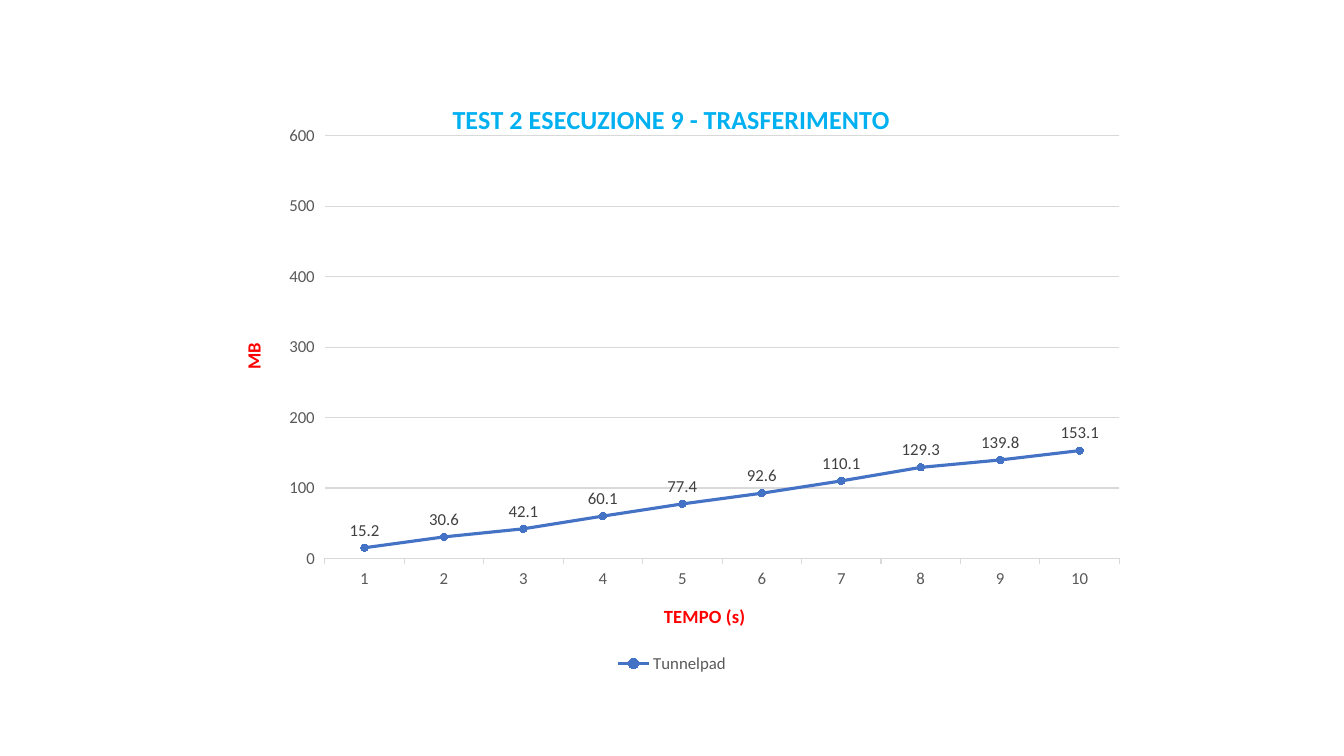
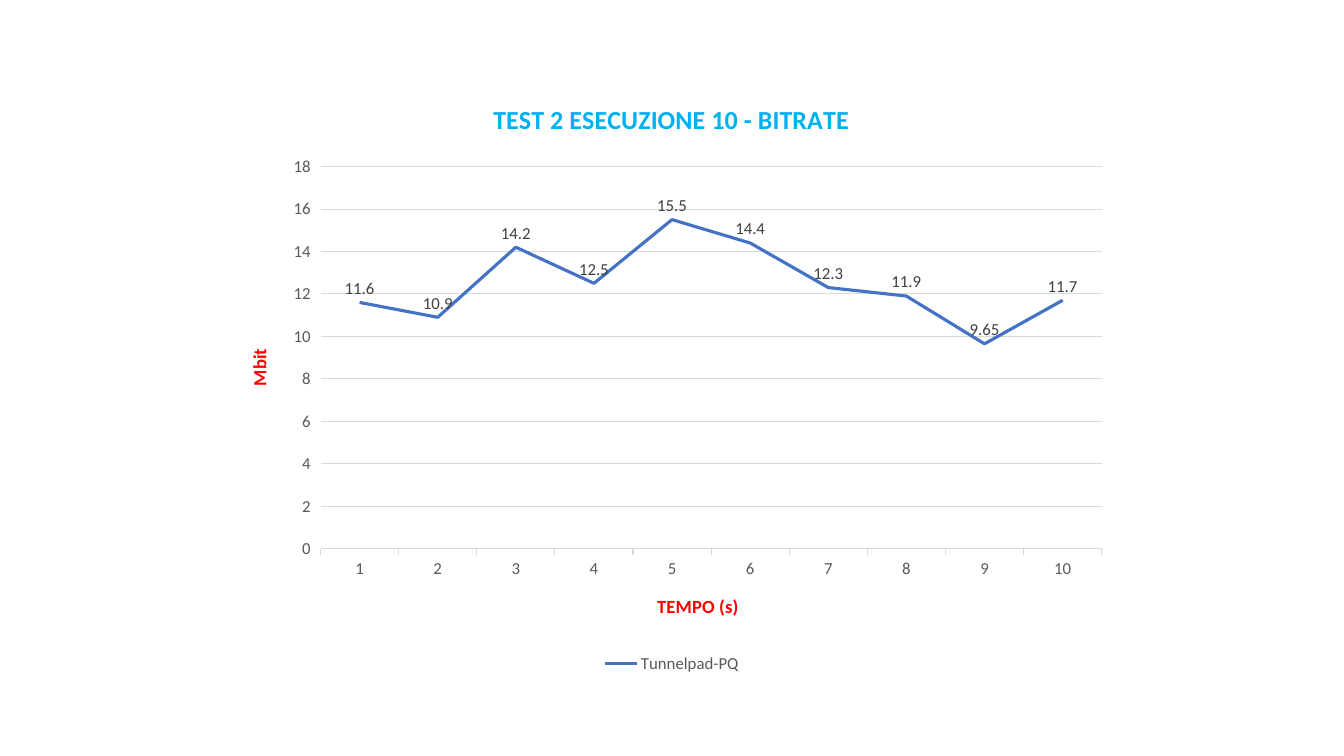
from lxml import etree
from pptx import Presentation
from pptx import util as u
from pptx.chart.data import CategoryChartData
from pptx.dml.color import RGBColor
from pptx.enum import chart as ce
from pptx.oxml.ns import qn

SKY = RGBColor(0x00, 0xB0, 0xF0)
RED = RGBColor(0xFF, 0x00, 0x00)
BLUE = RGBColor(0x44, 0x72, 0xC4)
GREY = RGBColor(0x59, 0x59, 0x59)
DARK = RGBColor(0x40, 0x40, 0x40)
PALE = RGBColor(0xD9, 0xD9, 0xD9)
BLACK = RGBColor(0x00, 0x00, 0x00)

FACE = "Calibri"
LEFT, TOP, WIDE, HIGH = [u.Pt(n) for n in (160, 57, 640, 427)]


class Deck:
    fonts = {
        "base": {"size": u.Pt(10), "color": BLACK},
        "head": {"size": u.Pt(18.6), "bold": True, "color": SKY},
        "axis": {"size": u.Pt(13.3), "bold": True, "color": RED},
        "tick": {"size": u.Pt(12), "bold": False, "color": GREY},
        "label": {"size": u.Pt(12), "bold": False, "color": DARK},
    }

    def __init__(self):
        self.prs = Presentation()
        self.prs.slide_width = u.Pt(960)
        self.prs.slide_height = u.Pt(540)
        self.slide = None

    def add(self):
        self.slide = self.prs.slides.add_slide(self.prs.slide_layouts[6])

    def style(self, font, kind):
        font.name = FACE
        for key, value in self.fonts[kind].items():
            if key == "color":
                font.color.rgb = value
            else:
                setattr(font, key, value)

    def line(self, line, color, width):
        line.color.rgb = color
        line.width = u.Pt(width)

    def place(self, host, index, box, **modes):
        for old in host.findall(qn("c:layout")):
            host.remove(old)
        layout = etree.Element(qn("c:layout"))
        manual = etree.SubElement(layout, qn("c:manualLayout"))
        spots = {**modes, "xMode": "edge", "yMode": "edge"}
        for key, value, full in zip("xywh", box, (WIDE, HIGH) * 2):
            spots[key] = u.Pt(value) / full
        for key, value in spots.items():
            etree.SubElement(manual, qn("c:" + key)).set("val", str(value))
        host.insert(index, layout)

    def title(self, title, words, kind, spot, turn=False):
        frame = title.text_frame
        frame.text = words
        self.style(frame.paragraphs[0].runs[0].font, kind)
        if turn:
            body = title.element.find(".//" + qn("a:bodyPr"))
            body.set("rot", "-5400000")
            body.set("vert", "horz")
        self.place(title.element, 1, spot)

    def axis(self, axis, words, spot, turn=False):
        axis.has_title = True
        self.title(axis.axis_title, words, "axis", spot, turn)
        axis.major_tick_mark = ce.XL_TICK_MARK.OUTSIDE
        axis.minor_tick_mark = ce.XL_TICK_MARK.NONE
        self.style(axis.tick_labels.font, "tick")

    def series(self, series, dots):
        series.smooth = False
        self.line(series.format.line, BLUE, 2.25)
        if dots:
            mark = series.marker
            mark.style = ce.XL_MARKER_STYLE.CIRCLE
            mark.size = 5
            mark.format.fill.solid()
            mark.format.fill.fore_color.rgb = BLUE
            self.line(mark.format.line, BLUE, 0.75)
        labels = series.data_labels
        labels.show_value = True
        labels.position = ce.XL_LABEL_POSITION.ABOVE
        self.style(labels.font, "label")

    def chart(self, head, unit, name, values, plot, spots, dots=False, top=None):
        data = CategoryChartData()
        data.categories = [str(n + 1) for n in range(len(values))]
        data.add_series(name, values)
        kind = ce.XL_CHART_TYPE.LINE_MARKERS if dots else ce.XL_CHART_TYPE.LINE
        shape = self.slide.shapes.add_chart(kind, LEFT, TOP, WIDE, HIGH, data)
        chart = shape.chart
        self.style(chart.font, "base")

        chart.has_title = True
        self.title(chart.chart_title, head, "head", spots["head"])
        chart.has_legend = True
        chart.legend.position = ce.XL_LEGEND_POSITION.BOTTOM
        chart.legend.include_in_layout = False
        self.style(chart.legend.font, "tick")

        base, side = chart.category_axis, chart.value_axis
        self.axis(base, "TEMPO (s)", spots["base"])
        self.line(base.format.line, PALE, 0.75)
        self.axis(side, unit, spots["side"], turn=True)
        side.format.line.fill.background()
        side.has_major_gridlines = True
        self.line(side.major_gridlines.format.line, PALE, 0.75)
        if top:
            side.minimum_scale, side.maximum_scale = 0, top

        chart.plots[0].vary_by_categories = False
        self.series(chart.plots[0].series[0], dots)
        area = chart.element.find(".//" + qn("c:plotArea"))
        self.place(area, 0, plot, layoutTarget="inner")


CHARTS = [
    {
        "head": "TEST 2 ESECUZIONE 9 - TRASFERIMENTO",
        "unit": "MB",
        "name": "Tunnelpad",
        "values": [15.2, 30.6, 42.1, 60.1, 77.4, 92.6, 110.1, 129.3, 139.8, 153.1],
        "plot": (72, 40, 568, 302),
        "spots": {"head": (160, 12), "base": (312, 371.5), "side": (9.5, 185.5)},
        "dots": True,
        "top": 600,
    },
    {
        "head": "TEST 2 ESECUZIONE 10 - BITRATE",
        "unit": "Mbit",
        "name": "Tunnelpad-PQ",
        "values": [11.6, 10.9, 14.2, 12.5, 15.5, 14.4, 12.3, 11.9, 9.65, 11.7],
        "plot": (69, 62, 558, 273),
        "spots": {"head": (189, 12), "base": (307, 364.5), "side": (13.5, 189.5)},
    },
]


def main():
    deck = Deck()
    for chart in CHARTS:
        deck.add()
        deck.chart(**chart)
    deck.prs.save("out.pptx")


if __name__ == "__main__":
    main()
